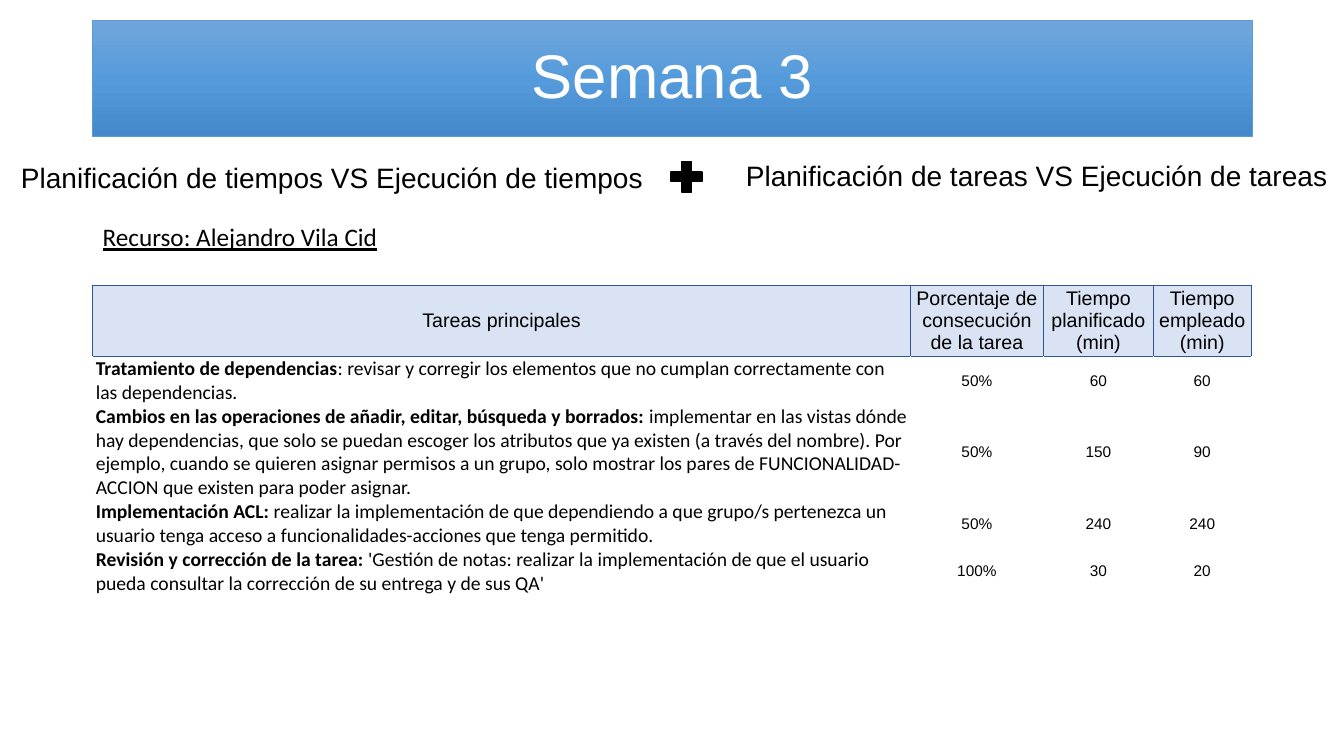
from copy import deepcopy

from lxml import etree
from pptx import Presentation
from pptx.dml.color import RGBColor
from pptx.enum.shapes import MSO_SHAPE
from pptx.enum.text import MSO_ANCHOR, PP_ALIGN
from pptx.oxml.ns import qn
from pptx.util import Inches, Pt

RECTANGLE, PLUS = MSO_SHAPE.RECTANGLE, MSO_SHAPE.MATH_PLUS
MIDDLE = MSO_ANCHOR.MIDDLE
LEFT, CENTER = PP_ALIGN.LEFT, PP_ALIGN.CENTER

BLACK = RGBColor(0x00, 0x00, 0x00)
WHITE = RGBColor(0xFF, 0xFF, 0xFF)
BANNER_LINE = RGBColor(0x5B, 0x9B, 0xD5)
BANNER_STOPS = [(0, RGBColor(0x71, 0xA6, 0xDB)),
                (0.5, RGBColor(0x55, 0x9B, 0xDB)),
                (1, RGBColor(0x44, 0x8A, 0xCA))]
HEADER_FILL = RGBColor(0xDA, 0xE3, 0xF3)
HEADER_BORDER = RGBColor(0x2F, 0x55, 0x97)

TITLE = "Semana 3"
# text, (left, top, width, height), font
CAPTIONS = [
    ("Planificación de tiempos VS Ejecución de tiempos", (0.11, 1.54, 6.47, 0.44),
     {"name": "Arial", "size": Pt(20)}),
    ("Planificación de tareas VS Ejecución de tareas", (7.3, 1.52, 6.04, 0.44),
     {"name": "Arial", "size": Pt(20)}),
    ("Recurso: Alejandro Vila Cid", (0.92, 2.15, 3.67, 0.4),
     {"name": "Calibri", "size": Pt(18), "underline": True}),
]
HEADERS = ["Tareas principales", "Porcentaje de consecución de la tarea",
           "Tiempo planificado (min)", "Tiempo empleado (min)"]
# task, description, text lines, (achieved, planned, spent)
TASKS = [
    ("Tratamiento de dependencias",
     ": revisar y corregir los elementos que no cumplan correctamente con las "
     "dependencias.", 2, ("50%", "60", "60")),
    ("Cambios en las operaciones de añadir, editar, búsqueda y borrados:",
     " implementar en las vistas dónde hay dependencias, que solo se puedan escoger "
     "los atributos que ya existen (a través del nombre). Por ejemplo, cuando se "
     "quieren asignar permisos a un grupo, solo mostrar los pares de "
     "FUNCIONALIDAD-ACCION que existen para poder asignar.", 4, ("50%", "150", "90")),
    ("Implementación ACL:",
     " realizar la implementación de que dependiendo a que grupo/s pertenezca un "
     "usuario tenga acceso a funcionalidades-acciones que tenga permitido.",
     2, ("50%", "240", "240")),
    ("Revisión y corrección de la tarea: ",
     "'Gestión de notas: realizar la implementación de que el usuario pueda consultar "
     "la corrección de su entrega y de sus QA'", 2, ("100%", "30", "20")),
]

MARGIN, CONTENT_WIDTH = 0.92, 11.5
TABLE_TOP, HEADER_HEIGHT, LINE_HEIGHT = 2.83, 0.71, 0.23
COLUMN_WIDTHS = [8.11, 1.32, 1.09, 0.97]
CELL_INSET = 0.03

HEADER_FONT = {"name": "Arial", "size": Pt(14)}
VALUE_FONT = {"name": "Arial", "size": Pt(11)}
TASK_FONT = {"name": "Calibri", "size": Pt(14), "bold": True}
DETAIL_FONT = {**TASK_FONT, "bold": False}


def write(frame, runs, align=LEFT, color=BLACK):
    """Fill the first paragraph of a frame with (text, font) runs."""
    frame.word_wrap = True
    paragraph = frame.paragraphs[0]
    paragraph.alignment = align
    for text, font in runs:
        run = paragraph.add_run()
        run.text = text
        run.font.color.rgb = color
        for attribute, value in font.items():
            setattr(run.font, attribute, value)
    return paragraph


def add_preset(slide, kind, box, line_color, line_width):
    """Add a preset shape without shadow and with the given outline."""
    shape = slide.shapes.add_shape(kind, *map(Inches, box))
    shape.shadow.inherit = False
    shape.line.color.rgb = line_color
    shape.line.width = Pt(line_width)
    return shape


def add_banner(slide):
    """Add the title on its three-stop vertical gradient."""
    banner = add_preset(slide, RECTANGLE, (MARGIN, 0.2, CONTENT_WIDTH, 1.15),
                        BANNER_LINE, 0.5)
    banner.fill.gradient()
    banner.fill.gradient_angle = 270
    stop_list = next(banner.element.spPr.iter(qn("a:gsLst")))
    stop_list.insert(1, deepcopy(stop_list[0]))
    for stop, (position, color) in zip(banner.fill.gradient_stops, BANNER_STOPS):
        stop.position = position
        stop.color.rgb = color
    banner.text_frame.vertical_anchor = MIDDLE
    title = write(banner.text_frame, [(TITLE, {"name": "Arial", "size": Pt(44)})],
                  CENTER, WHITE)
    title.line_spacing = 0.9


def set_borders(cell, sides):
    """Draw 1 pt borders on the listed sides of a cell."""
    properties = cell._tc.get_or_add_tcPr()
    for index, side in enumerate(sides):
        line = etree.Element(qn(f"a:ln{side}"), w=str(Pt(1)))
        fill = etree.SubElement(line, qn("a:solidFill"))
        etree.SubElement(fill, qn("a:srgbClr"), val=str(HEADER_BORDER))
        properties.insert(index, line)


def fill_cell(cell, runs, align, inset, sides):
    """Set the text, insets and borders of one cell."""
    cell.vertical_anchor = MIDDLE
    cell.margin_top = cell.margin_bottom = 0
    cell.margin_left = cell.margin_right = Inches(inset)
    write(cell.text_frame, runs, align)
    set_borders(cell, sides)


def add_task_table(slide):
    """Add the table of tasks with planned and spent times."""
    heights = [HEADER_HEIGHT] + [lines * LINE_HEIGHT for _, _, lines, _ in TASKS]
    table = slide.shapes.add_table(
        len(heights), len(COLUMN_WIDTHS), Inches(MARGIN), Inches(TABLE_TOP),
        Inches(CONTENT_WIDTH), Inches(sum(heights))).table
    table.first_row = table.horz_banding = False
    for column, width in zip(table.columns, COLUMN_WIDTHS):
        column.width = Inches(width)
    for row, height in zip(table.rows, heights):
        row.height = Inches(height)

    for column, header in enumerate(HEADERS):
        cell = table.cell(0, column)
        cell.fill.solid()
        cell.fill.fore_color.rgb = HEADER_FILL
        fill_cell(cell, [(header, HEADER_FONT)], CENTER, 0, "LRTB")

    for row, (task, detail, _, values) in enumerate(TASKS, start=1):
        contents = [[(task, TASK_FONT), (detail, DETAIL_FONT)]]
        contents += [[(value, VALUE_FONT)] for value in values]
        for column, runs in enumerate(contents):
            cell = table.cell(row, column)
            cell.fill.background()
            fill_cell(cell, runs, CENTER if column else LEFT,
                      0 if column == 1 else CELL_INSET, "T" if row == 1 else "")


prs = Presentation()
prs.slide_width, prs.slide_height = Inches(13.33), Inches(7.5)
slide = prs.slides.add_slide(prs.slide_layouts[6])

add_banner(slide)
add_task_table(slide)
for caption, box, font in CAPTIONS:
    write(slide.shapes.add_textbox(*map(Inches, box)).text_frame, [(caption, font)])
plus = add_preset(slide, PLUS, (6.6, 1.55, 0.42, 0.41), BLACK, 1)
plus.fill.solid()
plus.fill.fore_color.rgb = BLACK

prs.save("out.pptx")
